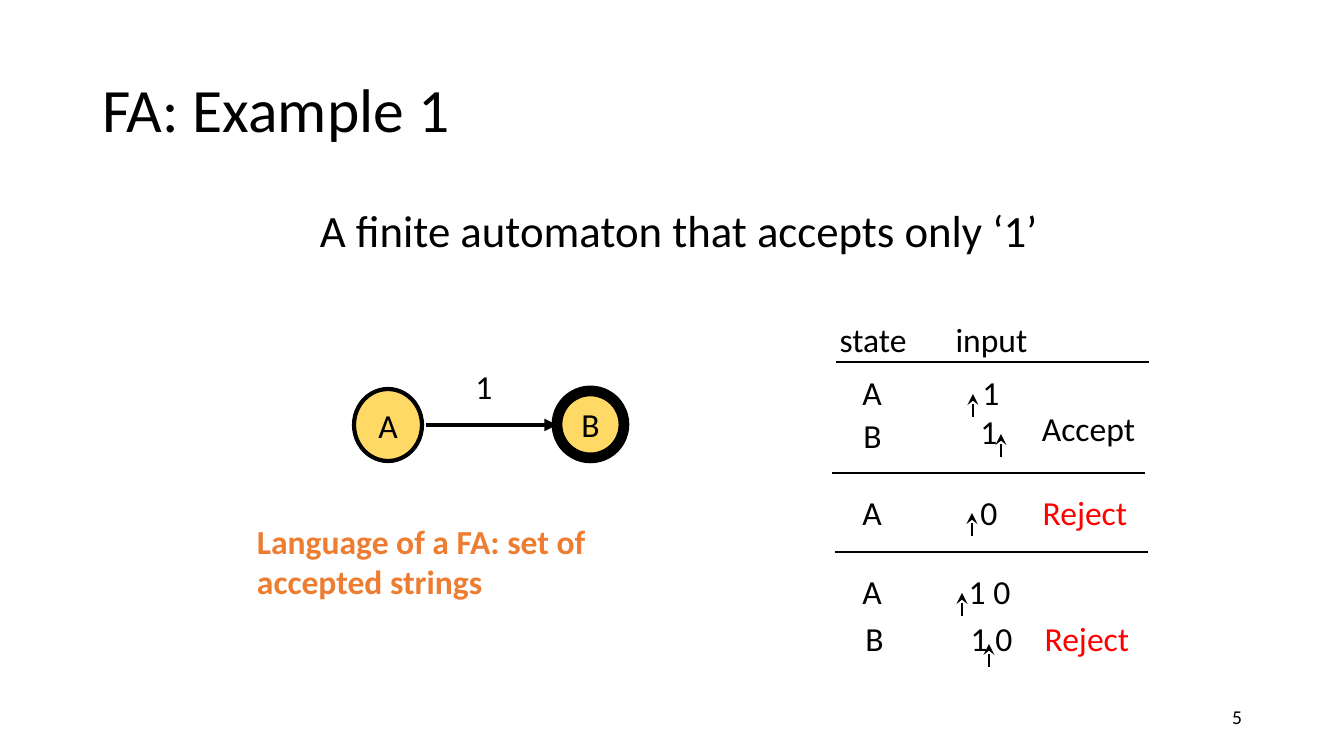
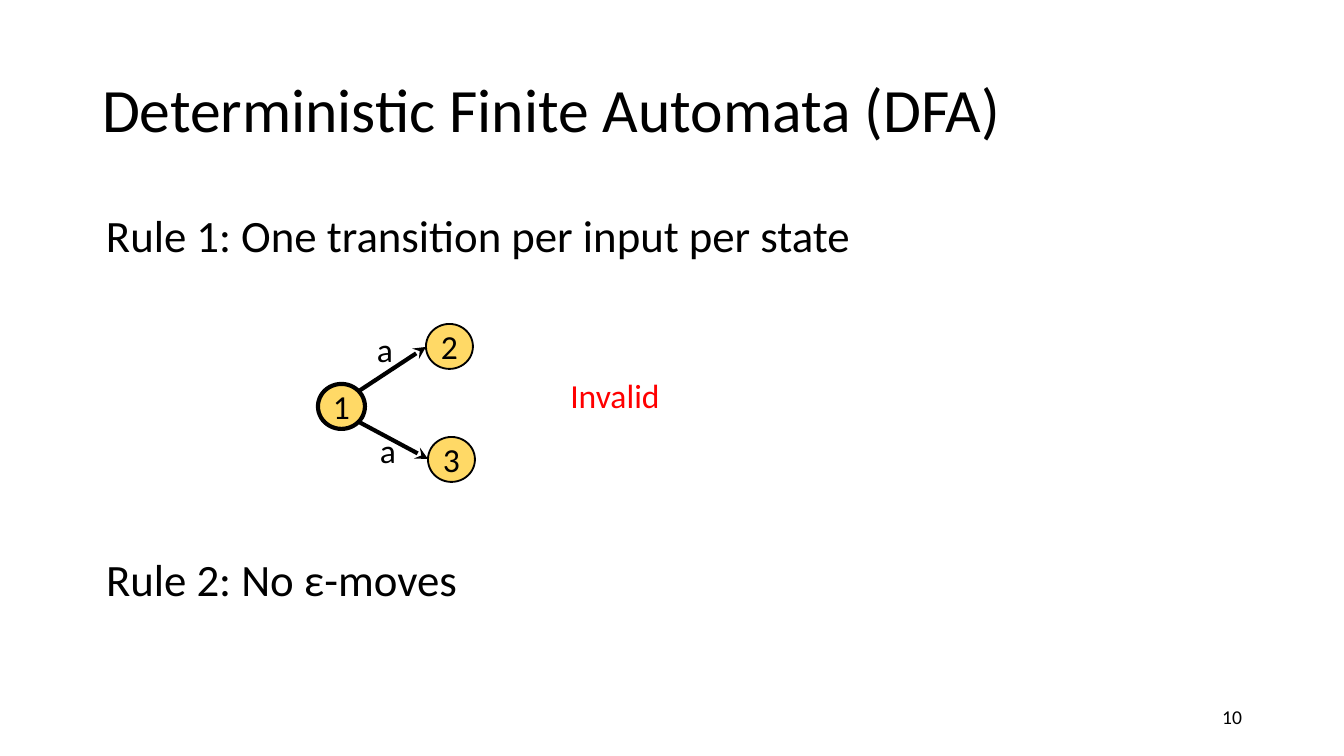
from lxml import etree
from pptx import Presentation
from pptx.dml.color import RGBColor
from pptx.enum.shapes import MSO_CONNECTOR, MSO_SHAPE
from pptx.enum.text import MSO_ANCHOR, MSO_AUTO_SIZE, PP_ALIGN
from pptx.oxml.ns import qn
from pptx.util import Emu, Pt

WIDTH, HEIGHT = 1344, 756
EMU_PER_PX = 9144000 / WIDTH
FONT = "Calibri"
BLACK, YELLOW, ORANGE, RED, WHITE = "000000", "FFD966", "ED7D31", "FF0000", "FFFFFF"
LEFT, CENTER, RIGHT = PP_ALIGN.LEFT, PP_ALIGN.CENTER, PP_ALIGN.RIGHT
LABEL_HEIGHT = 51


def px(length):
    return Emu(round(length * EMU_PER_PX))


def color(value):
    return RGBColor.from_string(value)


def write(shape, text, size, font_color=BLACK, align=LEFT, bold=False,
          anchor=MSO_ANCHOR.TOP, wrap=True, insets=(9, 5)):
    frame = shape.text_frame
    frame.text = text
    frame.auto_size = MSO_AUTO_SIZE.NONE
    frame.word_wrap = wrap
    frame.vertical_anchor = anchor
    frame.margin_left = frame.margin_right = px(insets[0])
    frame.margin_top = frame.margin_bottom = px(insets[1])
    paragraph = frame.paragraphs[0]
    paragraph.alignment = align
    font = paragraph.runs[0].font
    font.name, font.size, font.bold = FONT, Pt(size), bold
    font.color.rgb = color(font_color)
    return paragraph


def add_text(slide, text, left, top, width, height, size=18, **style):
    box = slide.shapes.add_textbox(px(left), px(top), px(width), px(height))
    write(box, text, size, **style)


def add_label(slide, text, left, top, width, font_color=BLACK):
    add_text(slide, text, left, top, width, LABEL_HEIGHT,
             font_color=font_color, align=CENTER, wrap=False)


def add_statement(slide, text, left, top, width):
    add_text(slide, text, left, top, width, 67, size=24, wrap=False, insets=(13, 7))


def add_state(slide, name, left, top, width, height, line_width):
    state = slide.shapes.add_shape(MSO_SHAPE.FLOWCHART_CONNECTOR,
                                   px(left), px(top), px(width), px(height))
    state.shadow.inherit = False
    state.fill.solid()
    state.fill.fore_color.rgb = color(YELLOW)
    state.line.color.rgb = color(BLACK)
    state.line.width = Pt(line_width)
    write(state, name, 18, align=CENTER, anchor=MSO_ANCHOR.MIDDLE, wrap=False)


def add_line(slide, x1, y1, x2, y2, line_width=0.75, arrowhead=None):
    line = slide.shapes.add_connector(MSO_CONNECTOR.STRAIGHT,
                                      px(x1), px(y1), px(x2), px(y2))
    line.line.color.rgb = color(BLACK)
    line.line.width = Pt(line_width)
    properties = line._element.spPr
    if arrowhead:
        outline = properties.find(qn("a:ln"))
        etree.SubElement(outline, qn("a:tailEnd"), type=arrowhead)
    etree.SubElement(properties, qn("a:effectLst"))


def add_trace_step(slide, state, state_box, symbols, symbols_box, head):
    """One row of the run table, with the reading head below the input."""
    add_label(slide, state, *state_box)
    add_label(slide, symbols, *symbols_box)
    head_x, head_y = head
    add_line(slide, head_x, head_y + 23, head_x, head_y, arrowhead="stealth")


def add_slide(presentation, title, number):
    slide = presentation.slides.add_slide(presentation.slide_layouts[5])
    slide.background.fill.solid()
    slide.background.fill.fore_color.rgb = color(WHITE)
    heading = slide.shapes.title
    heading.left, heading.top = px(93), px(40)
    heading.width, heading.height = px(1158), px(146)
    paragraph = write(heading, title, 33, anchor=MSO_ANCHOR.MIDDLE)
    paragraph.line_spacing = 0.9
    add_text(slide, number, 949, 700, 302, 40, size=10.5, align=RIGHT)
    return slide


def build_example(presentation):
    slide = add_slide(presentation, "FA: Example 1", "5")
    add_statement(slide, "A finite automaton that accepts only ‘1’", 307, 196, 754)

    # Automaton
    add_state(slide, "A", 354, 389, 68, 72, 2.25)
    add_state(slide, "B", 557, 391, 67, 67, 5.75)
    add_line(slide, 426, 425, 557, 425, 2.25, "triangle")
    add_label(slide, "1", 465, 361, 38)
    add_text(slide, "Language of a FA: set of accepted strings", 248, 516, 356, 91,
             font_color=ORANGE, bold=True)

    # Run table: header, rules, steps and verdicts
    add_label(slide, "state", 828, 314, 90)
    add_label(slide, "input", 945, 314, 93)
    for left, top in [(836, 362), (832, 473), (835, 552)]:
        add_line(slide, left, top, left + 313, top)
    steps = [
        ("A", (852, 367, 40), "1", (972, 367, 38), (973, 394)),
        ("B", (853, 410, 39), "1", (970, 406, 38), (1001, 434)),
        ("A", (852, 487, 40), "0", (970, 487, 38), (972, 513)),
        ("A", (852, 566, 40), "1 0", (958, 566, 63), (962, 593)),
        ("B", (855, 613, 39), "1 0", (960, 613, 63), (989, 644)),
    ]
    for step in steps:
        add_trace_step(slide, *step)
    add_label(slide, "Accept", 1030, 403, 117)
    for left, top in [(1032, 487), (1034, 613)]:
        add_label(slide, "Reject", left, top, 106, RED)


def build_rules(presentation):
    slide = add_slide(presentation, "Deterministic Finite Automata (DFA)", "10")
    add_statement(slide, "Rule 1: One transition per input per state", 93, 201, 781)
    add_statement(slide, "Rule 2: No ε-moves", 93, 545, 382)

    # Two transitions on the same input
    states = [("1", 318, 384, 2.25), ("2", 426, 324, 1), ("3", 428, 437, 1)]
    for name, left, top, line_width in states:
        add_state(slide, name, left, top, 47, 45, line_width)
    for edge in [(359, 391, 426, 347), (359, 422, 428, 459)]:
        add_line(slide, *edge, 2.25, "stealth")
    for left, top in [(367, 324), (370, 425)]:
        add_label(slide, "a", left, top, 36)
    add_label(slide, "Invalid", 559, 370, 112, RED)


def main():
    presentation = Presentation()
    presentation.slide_width, presentation.slide_height = px(WIDTH), px(HEIGHT)
    build_example(presentation)
    build_rules(presentation)
    presentation.save("out.pptx")


if __name__ == "__main__":
    main()
